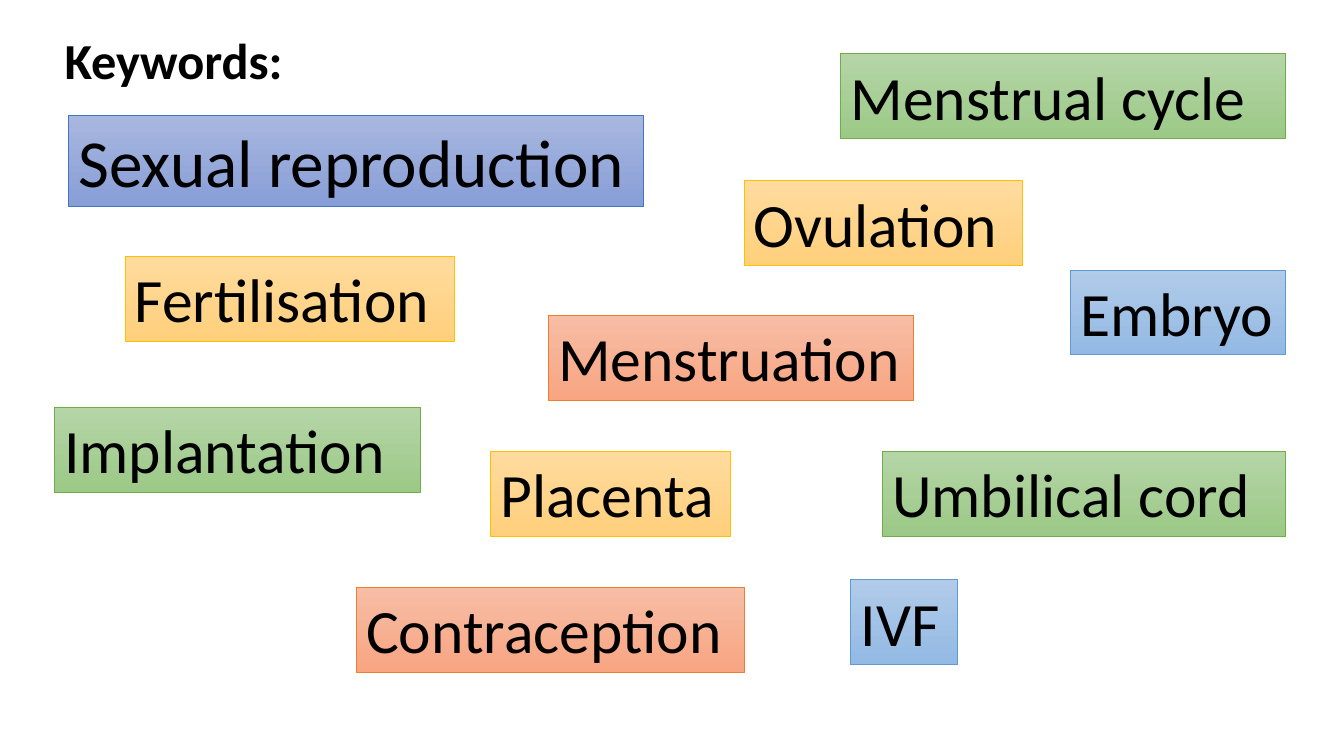
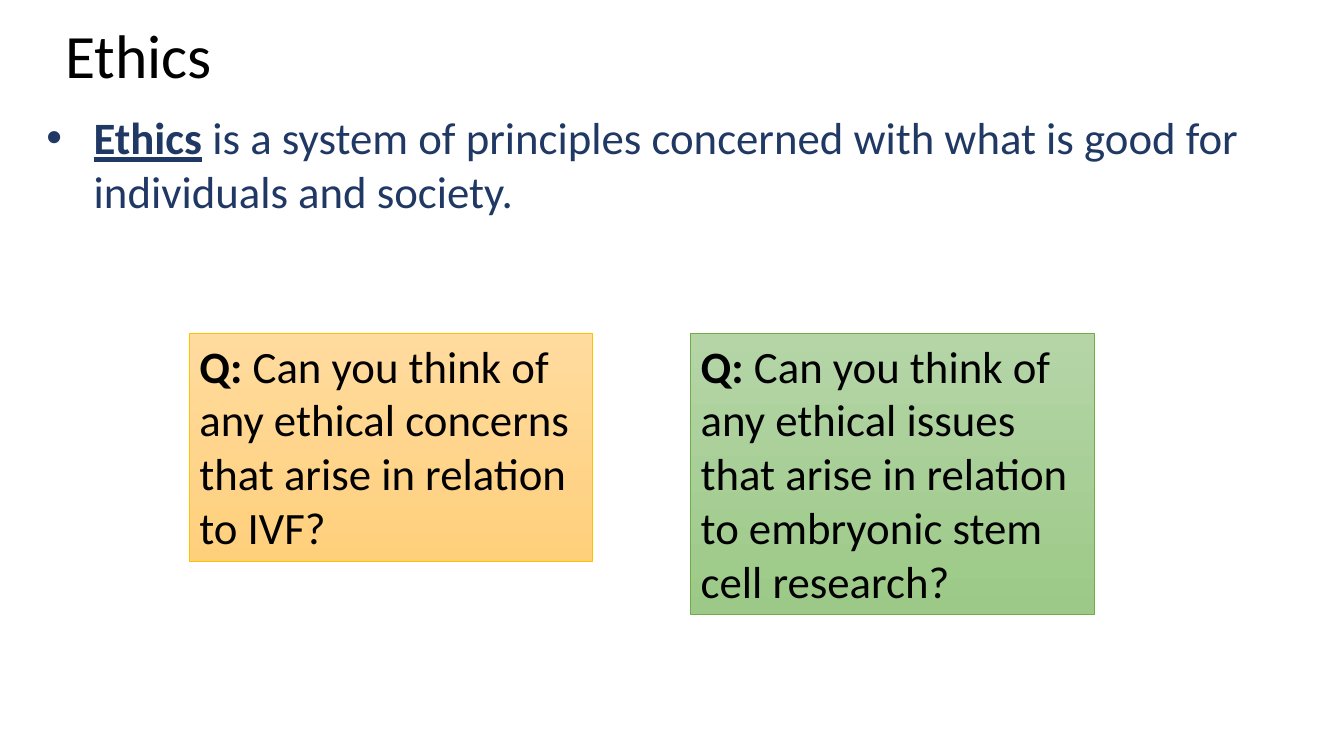
from dataclasses import dataclass

from lxml import etree
from pptx import Presentation
from pptx.dml.color import RGBColor
from pptx.enum.shapes import MSO_SHAPE
from pptx.enum.text import MSO_ANCHOR, MSO_AUTO_SIZE, PP_ALIGN
from pptx.oxml.ns import qn
from pptx.util import Inches, Pt

RECT = MSO_SHAPE.RECTANGLE
TOP, MIDDLE = MSO_ANCHOR.TOP, MSO_ANCHOR.MIDDLE
LEFT = PP_ALIGN.LEFT
NO_FIT = MSO_AUTO_SIZE.NONE
TITLE_ONLY, TITLE_AND_BODY = 5, 1

WIDTH, HEIGHT = Inches(13.333), Inches(7.5)


@dataclass(frozen=True)
class Theme:
    font: str = "Calibri"
    text: str = "000000"
    navy: str = "203864"
    # Box colours: gradient top, gradient bottom, outline
    indigo: tuple = ("A8B7DF", "889ED7", "4472C4")
    blue: tuple = ("B1CBE9", "93B9E4", "5B9BD5")
    gold: tuple = ("FFDB9E", "FFD07C", "FFC000")
    green: tuple = ("B5D5A7", "9CC987", "70AD47")
    orange: tuple = ("F7BDA5", "F8A582", "ED7D31")
    # Type sizes
    large: int = 48
    big: int = 44
    heading: int = 36
    body: int = 32
    outline: float = 0.5


T = Theme()

# Left, top and width in percent of the slide
KEYWORDS = [
    ("Embryo", T.blue, 79.65, 35.7, 16),
    ("Ovulation", T.gold, 55.35, 23.9, 20.7),
    ("Fertilisation", T.gold, 9.3, 33.9, 24.5),
    ("Implantation", T.green, 4.05, 53.9, 27.2),
    ("Menstruation", T.orange, 40.8, 41.7, 27.2),
    ("Menstrual cycle", T.green, 62.55, 7.1, 33.1),
    ("Placenta", T.gold, 36.5, 59.7, 17.85),
    ("Umbilical cord", T.green, 65.65, 59.7, 30),
    ("Contraception", T.orange, 26.5, 77.7, 28.9),
    ("IVF", T.blue, 63.3, 76.7, 7.95),
]
KEYWORD_HEIGHT = 11.2

QUESTIONS = [
    (" Can you think of any ethical concerns that arise in relation to IVF?",
     T.gold, 30.1),
    (" Can you think of any ethical issues that arise in relation to "
     "embryonic stem cell research?", T.green, 37.2),
]
QUESTION_LEFT, QUESTION_TOP, QUESTION_WIDTH, QUESTION_GAP = 14.1, 44.1, 30, 7.3


def rgb(code):
    return RGBColor.from_string(code)


def area(x, y, w, h):
    """Turn percentages of the slide into lengths."""
    return (int(WIDTH * x / 100), int(HEIGHT * y / 100),
            int(WIDTH * w / 100), int(HEIGHT * h / 100))


def place(sp, box):
    sp.left, sp.top, sp.width, sp.height = area(*box)


def add_run(p, text, size, color=T.text, bold=False, underline=False):
    r = p.add_run()
    r.text = text
    font = r.font
    font.name, font.size, font.color.rgb = T.font, Pt(size), rgb(color)
    font.bold, font.underline = bold, underline


def start_text(sp, anchor=TOP):
    """Set up the frame and return its first paragraph."""
    tf = sp.text_frame
    tf.word_wrap, tf.auto_size, tf.vertical_anchor = True, NO_FIT, anchor
    p = tf.paragraphs[0]
    p.alignment, p.space_before = LEFT, Pt(0)
    return p


def set_title(slide, text, box, size, bold=False, anchor=MIDDLE):
    sp = slide.shapes.title
    place(sp, box)
    p = start_text(sp, anchor)
    p.line_spacing = 0.9 if anchor == MIDDLE else 1.0
    add_run(p, text, size, bold=bold)


def add_box(slide, box, colors, runs, size):
    """Gradient box; runs are (text, bold) pairs."""
    top, bottom, outline = colors
    sp = slide.shapes.add_shape(RECT, *area(*box))
    sp.shadow.inherit = False
    sp.fill.gradient()
    sp.fill.gradient_angle = 270
    for stop, color in zip(sp.fill.gradient_stops, (top, bottom)):
        stop.color.rgb = rgb(color)
    sp.line.color.rgb = rgb(outline)
    sp.line.width = Pt(T.outline)
    p = start_text(sp)
    for text, bold in runs:
        add_run(p, text, size, bold=bold)


def set_bullet(p, indent):
    pPr = p._p.get_or_add_pPr()
    pPr.set("marL", str(Inches(indent)))
    pPr.set("indent", str(-Inches(indent)))
    etree.SubElement(pPr, qn("a:buFont")).set("typeface", "Arial")
    etree.SubElement(pPr, qn("a:buChar")).set("char", "•")


def add_keywords_slide(prs):
    slide = prs.slides.add_slide(prs.slide_layouts[TITLE_ONLY])
    set_title(slide, "Keywords:", (4.05, 3.2, 71, 9.4), T.heading,
              bold=True, anchor=TOP)
    # Main topic, then the other words
    add_box(slide, (5.1, 15.2, 42.8, 12.1), T.indigo,
            [("Sexual reproduction", False)], T.large)
    for word, colors, x, y, w in KEYWORDS:
        add_box(slide, (x, y, w, KEYWORD_HEIGHT), colors,
                [(word, False)], T.big)


def add_ethics_slide(prs):
    slide = prs.slides.add_slide(prs.slide_layouts[TITLE_AND_BODY])
    set_title(slide, "Ethics", (4.1, 0, 93.5, 15.6), T.big)

    # Definition
    body = slide.placeholders[1]
    place(body, (2.7, 13.9, 91.65, 70.7))
    p = start_text(body)
    p.space_after = Pt(14)
    set_bullet(p, 0.47)
    add_run(p, "Ethics", T.body, T.navy, bold=True, underline=True)
    add_run(p, " is a system of principles concerned with what is good for "
               "individuals and society.", T.body, T.navy)

    # Questions side by side
    for i, (question, colors, h) in enumerate(QUESTIONS):
        x = QUESTION_LEFT + i * (QUESTION_WIDTH + QUESTION_GAP)
        add_box(slide, (x, QUESTION_TOP, QUESTION_WIDTH, h), colors,
                [("Q:", True), (question, False)], T.body)


def main():
    prs = Presentation()
    prs.slide_width, prs.slide_height = WIDTH, HEIGHT
    add_keywords_slide(prs)
    add_ethics_slide(prs)
    prs.save("out.pptx")


if __name__ == "__main__":
    main()
